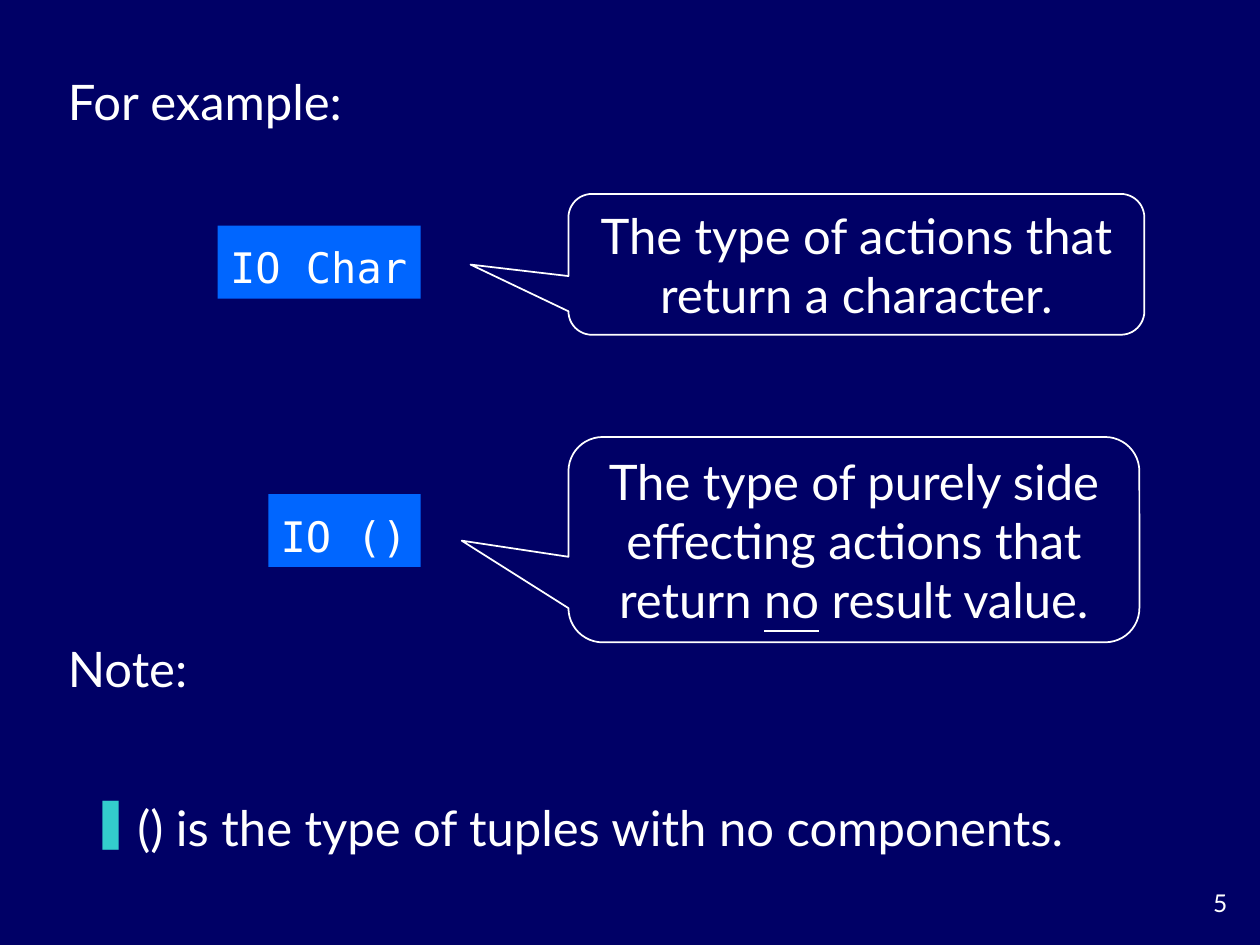
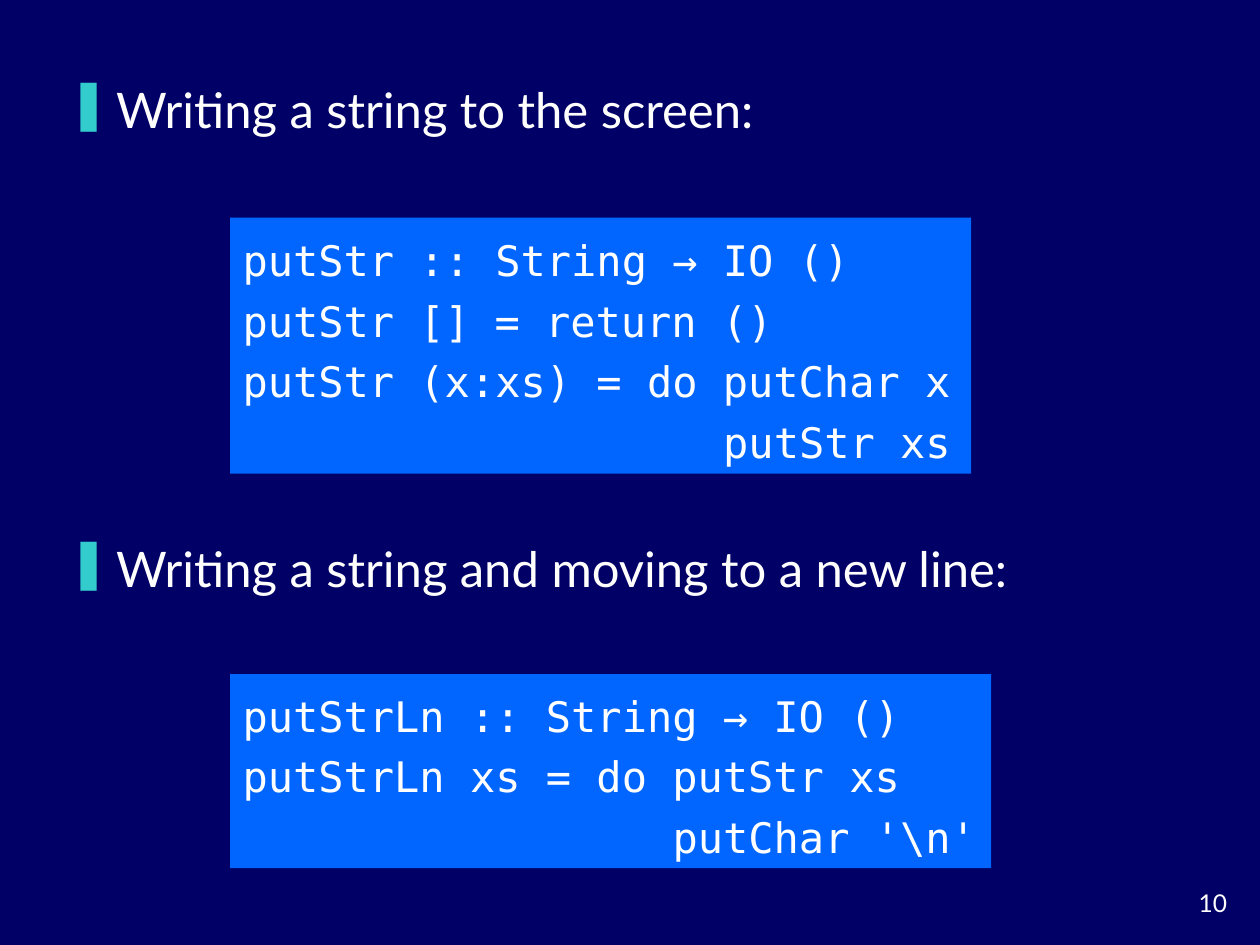
from pptx import Presentation
from pptx.util import Cm, Pt
from pptx.dml.color import RGBColor
from pptx.enum.shapes import MSO_SHAPE as SHAPE
from pptx.enum.text import MSO_ANCHOR as ANCHOR, PP_ALIGN as ALIGN
from pptx.oxml import parse_xml
from pptx.oxml.ns import nsdecls

NAVY = RGBColor(0x00, 0x00, 0x66)
BLUE = RGBColor(0x00, 0x66, 0xFF)
TEAL = RGBColor(0x33, 0xCC, 0xCC)
WHITE = RGBColor(0xFF, 0xFF, 0xFF)

BODY = {"name": "Lato", "size": Pt(28)}
NUMBER = {"name": "Lato", "size": Pt(14)}
CODE = {"name": "DejaVu Sans Mono", "size": Pt(24)}
CODE_COL = 0.51  # width of one code character, cm
EQUALS_COL = 14  # column where the equals signs line up

prs = Presentation()
prs.slide_width, prs.slide_height = Cm(25.4), Cm(19.05)
bg = prs.slide_master.background.fill
bg.solid()
bg.fore_color.rgb = NAVY


def write(sp, lines, font, anchor=ANCHOR.MIDDLE, **para):
    """Fill sp with lines; each line is a list of (text, format) runs."""
    tf = sp.text_frame
    tf.word_wrap = True
    tf.vertical_anchor = anchor
    for i, runs in enumerate(lines):
        p = tf.paragraphs[0] if i == 0 else tf.add_paragraph()
        for key, value in {"alignment": ALIGN.LEFT, **para}.items():
            setattr(p, key, value)
        for text, extra in runs:
            r = p.add_run()
            r.text = text
            r.font.color.rgb = WHITE
            for key, value in {**font, **extra}.items():
                setattr(r.font, key, value)
    return tf


def add_pPr(p, *parts, **attrs):
    """Append paragraph property elements, in schema order."""
    pPr = p._p.get_or_add_pPr()
    for key, value in attrs.items():
        pPr.set(key, str(int(value)))
    for tag, inner in parts:
        pPr.append(parse_xml(f"<a:{tag} {nsdecls('a')}{inner}</a:{tag}>"))


# Each slide: labels and bullets (left, top, width, height, text),
# code boxes (the same, with lines of (start column, text)), callouts
slides = [
    {
        "number": 5,
        "labels": [(1.12, 1.32, 6.22, 1.45, "For example:"),
                   (1.12, 12.75, 2.92, 1.45, "Note:")],
        "code": [(4.39, 4.55, 4.09, 1.47, [(0, "IO Char")]),
                 (5.41, 9.96, 3.07, 1.47, [(0, "IO ()")])],
        "callouts": [
            (3.91, 11.61, 2.84, (-0.67, 0.002, 0.167),
             [("The type of actions that return a character.", {})]),
            (8.81, 11.51, 4.14, (-0.687, 0.005, 0.167),
             [("The type of purely side effecting actions that return ", {}),
              ("no", {"underline": True}),
              (" result value.", {})]),
        ],
        "bullets": [(1.57, 15.95, 21.0, 1.75,
                     "() is the type of tuples with no components.")],
    },
    {
        "number": 10,
        "labels": [],
        "code": [
            (4.64, 4.39, 14.94, 5.16,
             [(0, "putStr :: String → IO ()"),
              (0, "putStr []\t= return ()"),
              (0, "putStr (x:xs) = do putChar x"),
              (19, "putStr xs")]),
            (4.64, 13.59, 15.34, 3.91,
             [(0, "putStrLn :: String → IO ()"),
              (0, "putStrLn xs = do putStr xs"),
              (17, "putChar '\\n'")]),
        ],
        "callouts": [],
        "bullets": [
            (1.14, 1.47, 22.1, 1.73, "Writing a string to the screen:"),
            (1.14, 10.74, 22.1, 1.73,
             "Writing a string and moving to a new line:"),
        ],
    },
]

for page in slides:
    s = prs.slides.add_slide(prs.slide_layouts[6])

    # Slide number
    sp = s.shapes.add_textbox(Cm(23.29), Cm(17.78), Cm(1.7), Cm(0.84))
    write(sp, [[(str(page["number"]), {})]], NUMBER, ANCHOR.TOP,
          alignment=ALIGN.RIGHT)

    # Plain labels
    for *box, text in page["labels"]:
        sp = s.shapes.add_textbox(*map(Cm, box))
        write(sp, [[(text, {})]], BODY)
        sp.text_frame.word_wrap = False

    # Code boxes
    for *box, lines in page["code"]:
        sp = s.shapes.add_shape(SHAPE.RECTANGLE, *map(Cm, box))
        sp.shadow.inherit = False
        sp.fill.solid()
        sp.fill.fore_color.rgb = BLUE
        sp.line.fill.background()
        tf = write(sp, [[(text, {})] for col, text in lines], CODE,
                   line_spacing=1.2)
        tf.margin_right = 0
        tab = int(Cm(EQUALS_COL * CODE_COL))
        for p, (col, text) in zip(tf.paragraphs, lines):
            add_pPr(p, ("tabLst", f'><a:tab pos="{tab}" algn="l"/>'),
                    marL=Cm(col * CODE_COL), indent=0)

    # Callouts
    for top, width, height, adjust, runs in page["callouts"]:
        sp = s.shapes.add_shape(SHAPE.ROUNDED_RECTANGULAR_CALLOUT,
                                Cm(11.46), Cm(top), Cm(width), Cm(height))
        sp.shadow.inherit = False
        sp.fill.background()
        sp.line.color.rgb = WHITE
        sp.line.width = Pt(1)
        for i, value in enumerate(adjust):
            sp.adjustments[i] = value
        write(sp, [runs], BODY, alignment=ALIGN.CENTER)

    # Bulleted lines
    for *box, text in page["bullets"]:
        sp = s.shapes.add_textbox(*map(Cm, box))
        tf = write(sp, [[(text, {})]], BODY, ANCHOR.TOP)
        add_pPr(tf.paragraphs[0],
                ("spcBef", '><a:spcPct val="20000"/>'),
                ("buClr", f'><a:srgbClr val="{TEAL}"/>'),
                ("buChar", ' char="❚">'),
                marL=Cm(0.95), indent=Cm(-0.95))

prs.save("out.pptx")
